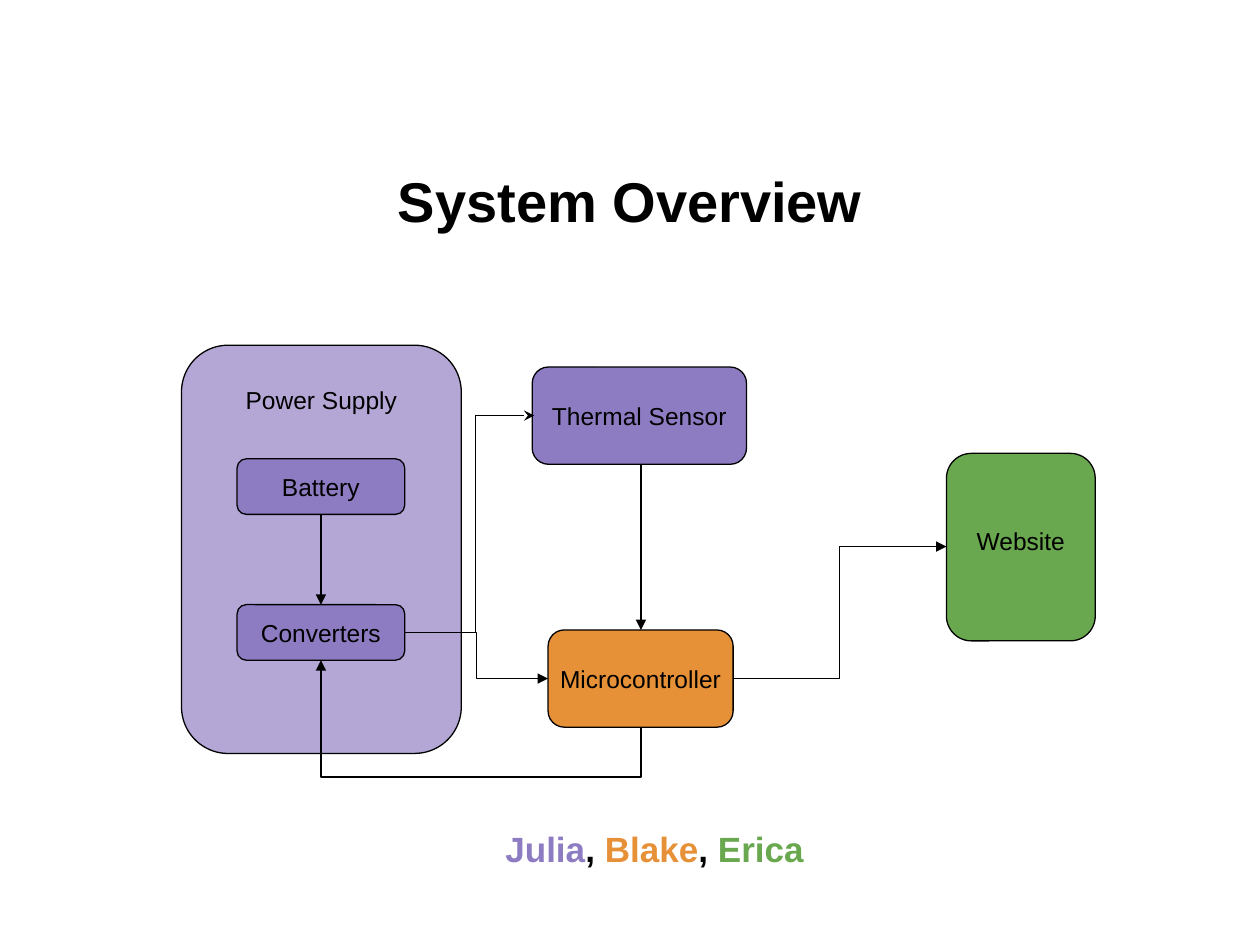
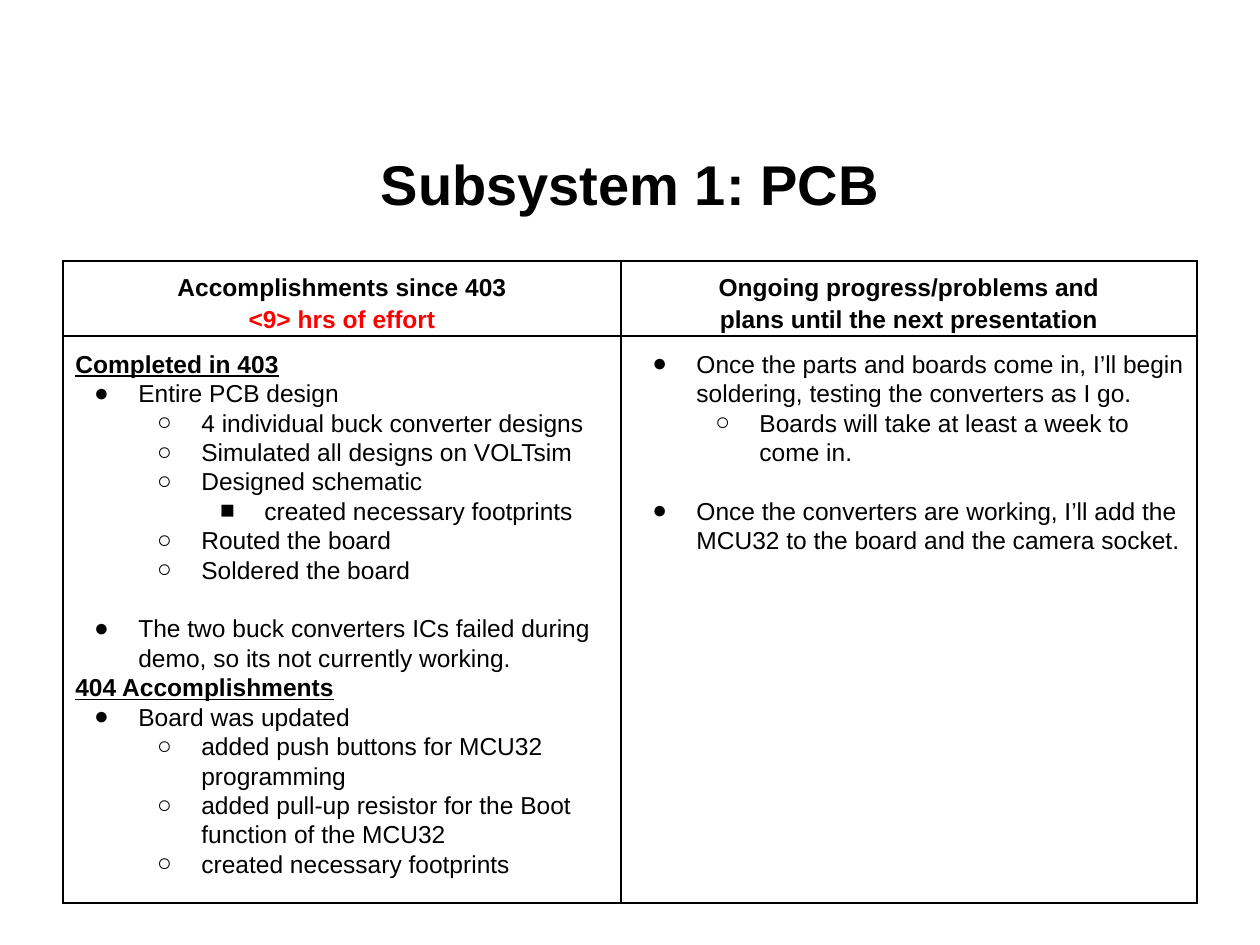
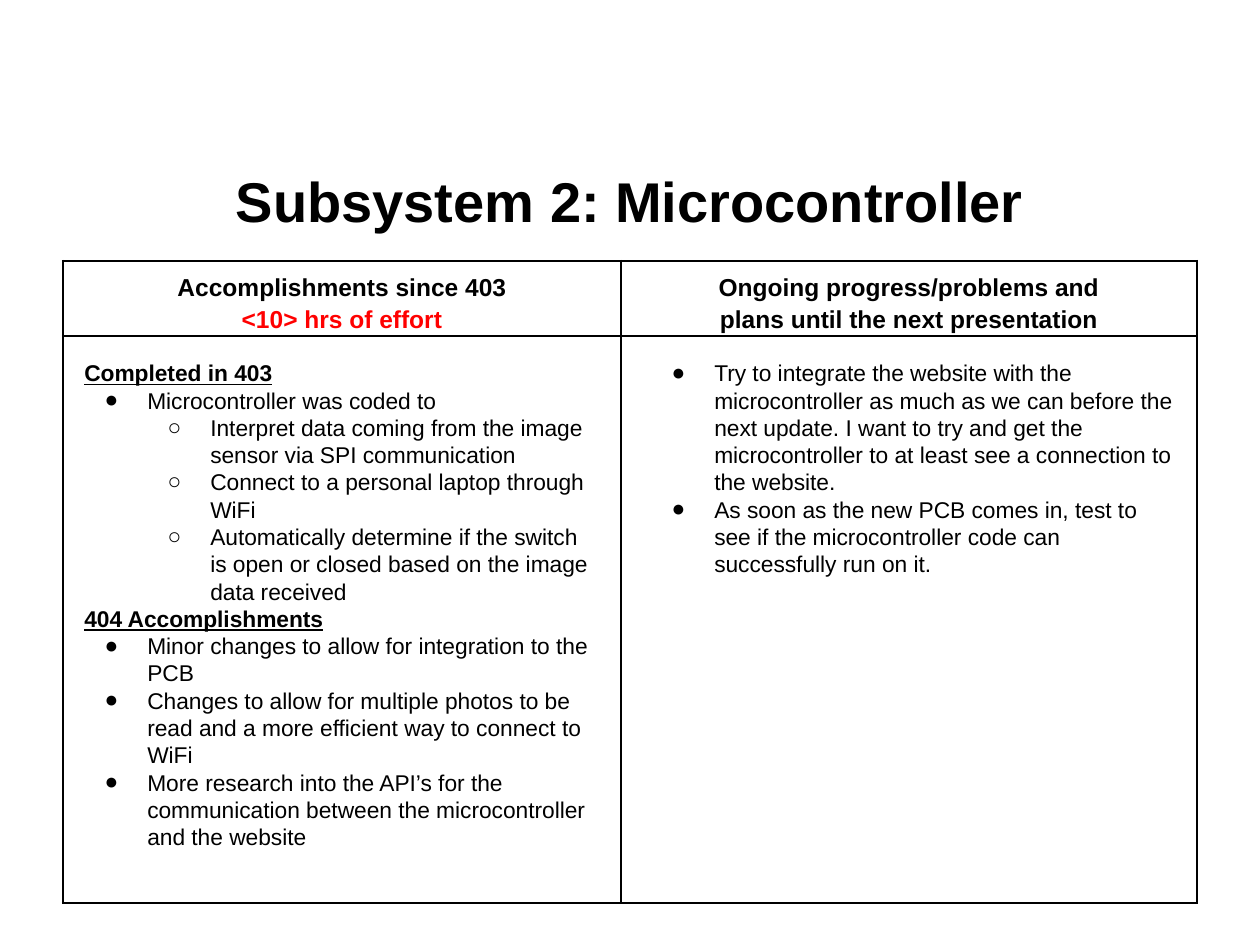
from dataclasses import dataclass
from typing import NamedTuple

from lxml.etree import SubElement
from pptx import Presentation
from pptx.dml.color import RGBColor
from pptx.enum.shapes import MSO_CONNECTOR, MSO_SHAPE
from pptx.enum.text import MSO_ANCHOR, MSO_AUTO_SIZE, PP_ALIGN
from pptx.oxml.ns import qn
from pptx.util import Cm, Pt


@dataclass(frozen=True)
class Theme:
    """Colours, font, type sizes and line widths shared by the slides."""

    font: str = "Arial"
    black: RGBColor = RGBColor.from_string("000000")
    red: RGBColor = RGBColor.from_string("FF0000")
    lilac: RGBColor = RGBColor.from_string("B4A7D6")
    purple: RGBColor = RGBColor.from_string("8E7CC3")
    orange: RGBColor = RGBColor.from_string("E69138")
    green: RGBColor = RGBColor.from_string("6AA84F")
    title: int = 32
    legend: int = 20
    label: int = 14
    small: int = 13
    line: float = 0.75
    border: float = 1.5
    leading: float = 1.2
    indent: float = 1.27


THEME = Theme()
BULLETS = {1: "●", 2: "○", 3: "■"}
TABLE_LEFT, TABLE_TOP = 1.27, 5.26
COLUMNS, ROWS = (11.25, 11.61), (1.52, 11.43)


class Item(NamedTuple):
    """One report line: level 0 is a heading, deeper levels are bulleted."""

    level: int
    text: str
    gap: bool = False


PCB_DONE = [
    Item(0, "Completed in 403"),
    Item(1, "Entire PCB design"),
    Item(2, "4 individual buck converter designs"),
    Item(2, "Simulated all designs on VOLTsim"),
    Item(2, "Designed schematic"),
    Item(3, "created necessary footprints"),
    Item(2, "Routed the board"),
    Item(2, "Soldered the board"),
    Item(1, "The two buck converters ICs failed during demo, so its not currently working.", gap=True),
    Item(0, "404 Accomplishments"),
    Item(1, "Board was updated"),
    Item(2, "added push buttons for MCU32 programming"),
    Item(2, "added pull-up resistor for the Boot function of the MCU32"),
    Item(2, "created necessary footprints"),
]
PCB_PLANS = [
    Item(1, "Once the parts and boards come in, I’ll begin soldering, testing the converters as I go."),
    Item(2, "Boards will take at least a week to come in."),
    Item(1, "Once the converters are working, I’ll add the MCU32 to the board and the camera socket.", gap=True),
]
CONTROLLER_DONE = [
    Item(0, "Completed in 403"),
    Item(1, "Microcontroller was coded to"),
    Item(2, "Interpret data coming from the image sensor via SPI communication"),
    Item(2, "Connect to a personal laptop through WiFi"),
    Item(2, "Automatically determine if the switch is open or closed based on the image data received"),
    Item(0, "404 Accomplishments"),
    Item(1, "Minor changes to allow for integration to the PCB"),
    Item(1, "Changes to allow for multiple photos to be read and a more efficient way to connect to WiFi"),
    Item(1, "More research into the API’s for the communication between the microcontroller and the website"),
]
CONTROLLER_PLANS = [
    Item(1, "Try to integrate the website with the microcontroller as much as we can before the next update. "
            "I want to try and get the microcontroller to at least see a connection to the website."),
    Item(1, "As soon as the new PCB comes in, test to see if the microcontroller code can successfully run on it."),
]


def style_span(span, size, color=THEME.black, bold=False, underline=False):
    """Format one run."""
    span.font.name = THEME.font
    span.font.size = Pt(size)
    span.font.color.rgb = color
    span.font.bold = bold
    span.font.underline = underline


def set_margins(target, left, top, right, bottom):
    """Set the inner margins of a text frame or cell in centimetres."""
    target.margin_left, target.margin_top = Cm(left), Cm(top)
    target.margin_right, target.margin_bottom = Cm(right), Cm(bottom)


def add_titled_slide(deck, title, top=2.92):
    """Add a title-only slide and place its title."""
    slide = deck.slides.add_slide(deck.slide_layouts[5])
    box = slide.shapes.title
    box.left, box.top, box.width, box.height = Cm(1.27), Cm(top), Cm(22.86), Cm(2.24)
    frame = box.text_frame
    frame.text = title
    frame.auto_size = MSO_AUTO_SIZE.NONE
    frame.vertical_anchor = MSO_ANCHOR.MIDDLE
    frame.paragraphs[0].alignment = PP_ALIGN.CENTER
    style_span(frame.paragraphs[0].runs[0], THEME.title, bold=True)
    return slide


def add_text_box(slide, bounds):
    """Add a wrapping text box and return its frame."""
    frame = slide.shapes.add_textbox(*map(Cm, bounds)).text_frame
    frame.word_wrap = True
    set_margins(frame, 0.25, 0.25, 0.25, 0.25)
    return frame


def add_node(slide, label, bounds, fill, anchor=MSO_ANCHOR.MIDDLE, top=0, bottom=0):
    """Add a labelled rounded block of the diagram."""
    node = slide.shapes.add_shape(MSO_SHAPE.ROUNDED_RECTANGLE, *map(Cm, bounds))
    node.shadow.inherit = False
    node.fill.solid()
    node.fill.fore_color.rgb = fill
    node.line.color.rgb = THEME.black
    node.line.width = Pt(THEME.line)
    frame = node.text_frame
    frame.text = label
    frame.word_wrap = True
    frame.vertical_anchor = anchor
    set_margins(frame, 0, top, 0, bottom)
    frame.paragraphs[0].alignment = PP_ALIGN.CENTER
    style_span(frame.paragraphs[0].runs[0], THEME.label)


def add_arrow(slide, kind, start, end, arrow="triangle", side="tailEnd"):
    """Add a connector with one arrowhead."""
    arrow_line = slide.shapes.add_connector(kind, *map(Cm, (*start, *end)))
    arrow_line.line.color.rgb = THEME.black
    arrow_line.line.width = Pt(THEME.line)
    properties = arrow_line._element.spPr
    SubElement(properties.find(qn("a:ln")), qn(f"a:{side}"), type=arrow)
    SubElement(properties, qn("a:effectLst"))
    return properties


def add_elbow(slide, start, end, bend=0.5, vertical=False, **head):
    """Add a bent arrow that turns at the given share of its run."""
    if vertical:
        (x1, y1), (x2, y2) = start, end
        middle_x, middle_y = (x1 + x2) / 2, (y1 + y2) / 2
        half_run, half_span = (y2 - y1) / 2, (x2 - x1) / 2
        start = middle_x + half_run, middle_y - half_span
        end = middle_x - half_run, middle_y + half_span
    properties = add_arrow(slide, MSO_CONNECTOR.ELBOW, start, end, **head)
    if vertical:
        properties.find(qn("a:xfrm")).set("rot", str(270 * 60000))
    geometry = properties.find(qn("a:prstGeom"))
    guides = geometry.find(qn("a:avLst"))
    if guides is None:
        guides = SubElement(geometry, qn("a:avLst"))
    SubElement(guides, qn("a:gd"), name="adj1", fmla=f"val {round(bend * 100000)}")


def add_legend(slide, names):
    """Add the team names, each in the colour of its blocks."""
    para = add_text_box(slide, (5.18, 16.43, 16.03, 1.37)).paragraphs[0]
    para.alignment = PP_ALIGN.CENTER
    for index, (name, color) in enumerate(names):
        parts = [(name, color)] if index == 0 else [(", ", THEME.black), (name, color)]
        for text, part_color in parts:
            span = para.add_run()
            span.text = text
            style_span(span, THEME.legend, part_color, bold=True)


def add_borders(cell):
    """Draw the four borders of a table cell."""
    properties = cell._tc.get_or_add_tcPr()
    for side in ("lnL", "lnR", "lnT", "lnB"):
        line = SubElement(properties, qn(f"a:{side}"), w=str(Pt(THEME.border)))
        fill = SubElement(line, qn("a:solidFill"))
        SubElement(fill, qn("a:srgbClr"), val=str(THEME.black))


def fill_header(cell, lines):
    """Write centred bold header lines given as text and colour."""
    set_margins(cell, 0.08, 0.05, 0.08, 0.05)
    cell.vertical_anchor = MSO_ANCHOR.BOTTOM
    cell.text_frame.text = "\n".join(text for text, _ in lines)
    for para, (_, color) in zip(cell.text_frame.paragraphs, lines):
        para.alignment = PP_ALIGN.CENTER
        para.line_spacing = 1.15
        style_span(para.runs[0], THEME.label, color, bold=True)


def add_report_table(slide, hours):
    """Add the two-column report grid with its header row."""
    bounds = (TABLE_LEFT, TABLE_TOP, sum(COLUMNS), sum(ROWS))
    table = slide.shapes.add_table(2, 2, *map(Cm, bounds)).table
    table.first_row = table.horz_banding = False
    for column, width in zip(table.columns, COLUMNS):
        column.width = Cm(width)
    for row, height in zip(table.rows, ROWS):
        row.height = Cm(height)
    for cell in table.iter_cells():
        add_borders(cell)
        cell.fill.background()
    fill_header(table.cell(0, 0), [
        ("Accomplishments since 403", THEME.black),
        (f"<{hours}> hrs of effort", THEME.red),
    ])
    fill_header(table.cell(0, 1), [
        ("Ongoing progress/problems and", THEME.black),
        ("plans until the next presentation", THEME.black),
    ])


def add_bullet(para, level, hanging):
    """Give a paragraph the bullet and indent of its level."""
    para.level = level - 1
    properties = para._p.get_or_add_pPr()
    properties.set("marL", str(Cm(THEME.indent * level)))
    properties.set("indent", str(-Cm(hanging)))
    SubElement(properties, qn("a:buFont"), typeface=THEME.font)
    SubElement(properties, qn("a:buChar"), char=BULLETS[level])


def add_items(slide, bounds, items, size, hanging):
    """Add a text box of headings and bulleted lines."""
    frame = add_text_box(slide, bounds)
    frame.text = "\n".join(item.text for item in items)
    pitch = Pt(size * THEME.leading)
    for para, item in zip(frame.paragraphs, items):
        heading = item.level == 0
        para.line_spacing = pitch
        para.space_before = pitch if item.gap else Pt(0)
        style_span(para.runs[0], size, bold=heading, underline=heading)
        if not heading:
            add_bullet(para, item.level, hanging)


def build_overview(deck):
    """Build the block diagram of the system."""
    slide = add_titled_slide(deck, "System Overview")
    add_node(slide, "Power Supply", (3.66, 6.96, 5.64, 8.23), THEME.lilac, MSO_ANCHOR.TOP, top=0.52)
    add_node(slide, "Thermal Sensor", (10.73, 7.4, 4.32, 1.96), THEME.purple)
    add_node(slide, "Website", (19.08, 9.14, 3, 3.78), THEME.green, bottom=0.25)
    add_node(slide, "Microcontroller", (11.05, 12.7, 3.73, 1.96), THEME.orange)
    for label, top in (("Battery", 9.25), ("Converters", 12.19)):
        add_node(slide, label, (4.78, top, 3.38, 1.12), THEME.purple)

    converter_exit = (8.15, 12.75)
    add_arrow(slide, MSO_CONNECTOR.STRAIGHT, (6.47, 10.37), (6.47, 12.19))
    add_arrow(slide, MSO_CONNECTOR.STRAIGHT, (12.92, 9.36), (12.92, 12.7))
    add_elbow(slide, converter_exit, (10.77, 8.38), bend=0.55, arrow="stealth")
    add_elbow(slide, converter_exit, (11.05, 13.68))
    add_elbow(slide, (14.78, 13.68), (19.08, 11.02))
    add_elbow(slide, (6.47, 13.31), (12.92, 14.67), bend=1.73, vertical=True, side="headEnd")
    add_legend(slide, [("Julia", THEME.purple), ("Blake", THEME.orange), ("Erica", THEME.green)])


def build_pcb_report(deck):
    """Build the PCB progress report."""
    slide = add_titled_slide(deck, "Subsystem 1: PCB", top=2.57)
    add_report_table(slide, 9)
    top = TABLE_TOP + ROWS[0]
    add_items(slide, (TABLE_LEFT, top, COLUMNS[0], ROWS[1]), PCB_DONE, THEME.label, 0.89)
    add_items(slide, (TABLE_LEFT + COLUMNS[0], top, COLUMNS[1], ROWS[1]), PCB_PLANS, THEME.label, 0.89)


def build_controller_report(deck):
    """Build the microcontroller progress report."""
    slide = add_titled_slide(deck, "Subsystem 2: Microcontroller")
    add_report_table(slide, 10)
    add_items(slide, (1.45, 6.99, 10.8, 10.97), CONTROLLER_DONE, THEME.small, 0.86)
    add_items(slide, (12.88, 6.99, 11, 10.97), CONTROLLER_PLANS, THEME.small, 0.86)


def main():
    """Build and save the deck."""
    deck = Presentation()
    deck.slide_width, deck.slide_height = Cm(25.4), Cm(19.05)
    build_overview(deck)
    build_pcb_report(deck)
    build_controller_report(deck)
    deck.save("out.pptx")


if __name__ == "__main__":
    main()
